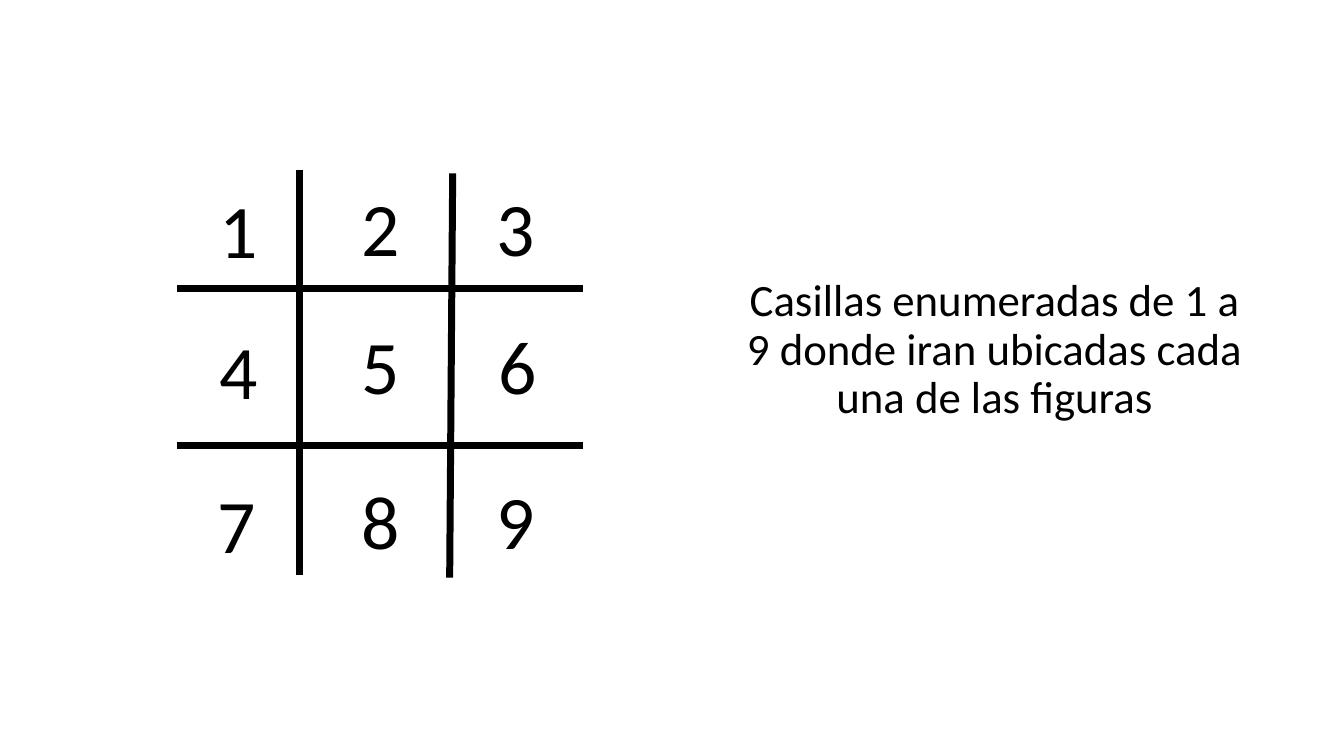
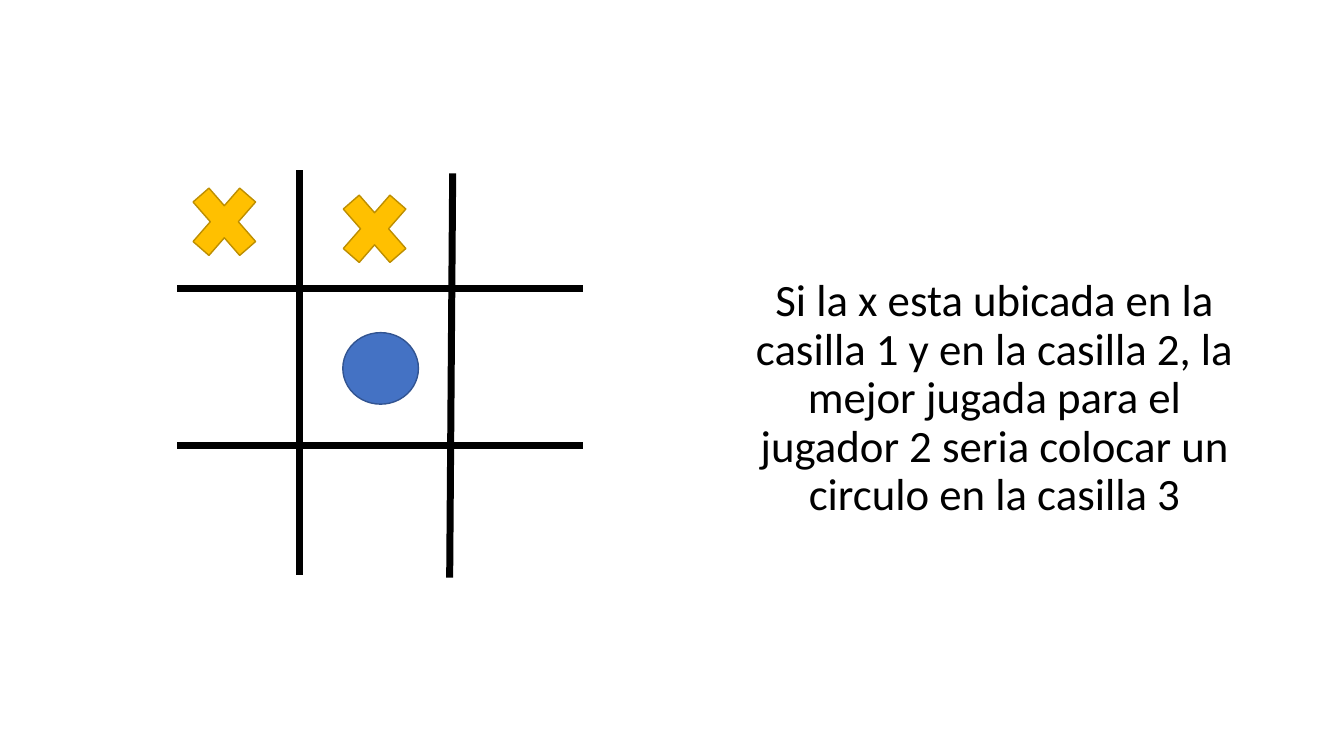
import pptx
import pptx.util
import pptx.dml.color
import pptx.enum.shapes
import pptx.enum.text
import pptx.oxml.ns
import lxml.etree

Inches = pptx.util.Inches
Pt = pptx.util.Pt
Shape = pptx.enum.shapes.MSO_SHAPE

BLACK, GOLD, DARK_GOLD, BLUE, DARK_BLUE = "000000", "FFC000", "BD8E00", "4472C4", "325491"
FONT = "Calibri"


def color(hex_code):
    return pptx.dml.color.RGBColor.from_string(hex_code)


def add_text(slide, text, box, size, wrap):
    textbox = slide.shapes.add_textbox(*[Inches(v) for v in box])
    textbox.text_frame.word_wrap = wrap
    paragraph = textbox.text_frame.paragraphs[0]
    paragraph.alignment = pptx.enum.text.PP_ALIGN.CENTER
    run = paragraph.add_run()
    run.text = text
    run.font.name = FONT
    run.font.size = Pt(size)
    run.font.color.rgb = color(BLACK)
    return paragraph


board_lines = [
    (2.97, 1.69, 2.97, 5.7),
    (4.49, 1.72, 4.46, 5.73),
    (1.76, 2.86, 5.78, 2.86),
    (1.76, 4.42, 5.78, 4.42),
]
numbers = [
    (2.07, 1.77), (3.48, 1.75), (4.82, 1.75),
    (2.07, 3.16), (3.48, 3.11), (4.84, 3.11),
    (2.05, 4.69), (3.48, 4.65), (4.82, 4.65),
]
pieces = [
    (Shape.MATH_MULTIPLY, (1.78, 1.69, 0.89, 1.02), GOLD, DARK_GOLD),
    (Shape.MATH_MULTIPLY, (3.27, 1.76, 0.89, 1.02), GOLD, DARK_GOLD),
    (Shape.OVAL, (3.4, 3.3, 0.75, 0.71), BLUE, DARK_BLUE),
]
boards = [
    ("Casillas enumeradas de 1 a 9 donde iran ubicadas cada una de las figuras", numbers, []),
    ("Si la x esta ubicada en la casilla 1 y en la casilla 2, la mejor jugada para el "
     "jugador 2 seria colocar un circulo en la casilla 3", [], pieces),
]

deck = pptx.Presentation()
deck.slide_width = Inches(13.33)
deck.slide_height = Inches(7.5)

for explanation, board_numbers, board_pieces in boards:
    slide = deck.slides.add_slide(deck.slide_layouts[6])

    for ends in board_lines:
        board_line = slide.shapes.add_connector(
            pptx.enum.shapes.MSO_CONNECTOR.STRAIGHT, *[Inches(v) for v in ends])
        board_line.line.color.rgb = color(BLACK)
        board_line.line.width = Pt(5)
        lxml.etree.SubElement(board_line._element.spPr, pptx.oxml.ns.qn("a:effectLst"))

    for number, (left, top) in enumerate(board_numbers, start=1):
        add_text(slide, str(number), (left, top, 0.59, 1.01), 54, False)

    explanation_line = add_text(slide, explanation, (7.27, 2.71, 5.19, 3.87), 32, True)
    explanation_line.line_spacing = 0.9
    explanation_line.space_before = Pt(10)

    for kind, box, fill, outline in board_pieces:
        piece = slide.shapes.add_shape(kind, *[Inches(v) for v in box])
        piece.shadow.inherit = False
        piece.fill.solid()
        piece.fill.fore_color.rgb = color(fill)
        piece.line.color.rgb = color(outline)
        piece.line.width = Pt(1)

deck.save("out.pptx")
